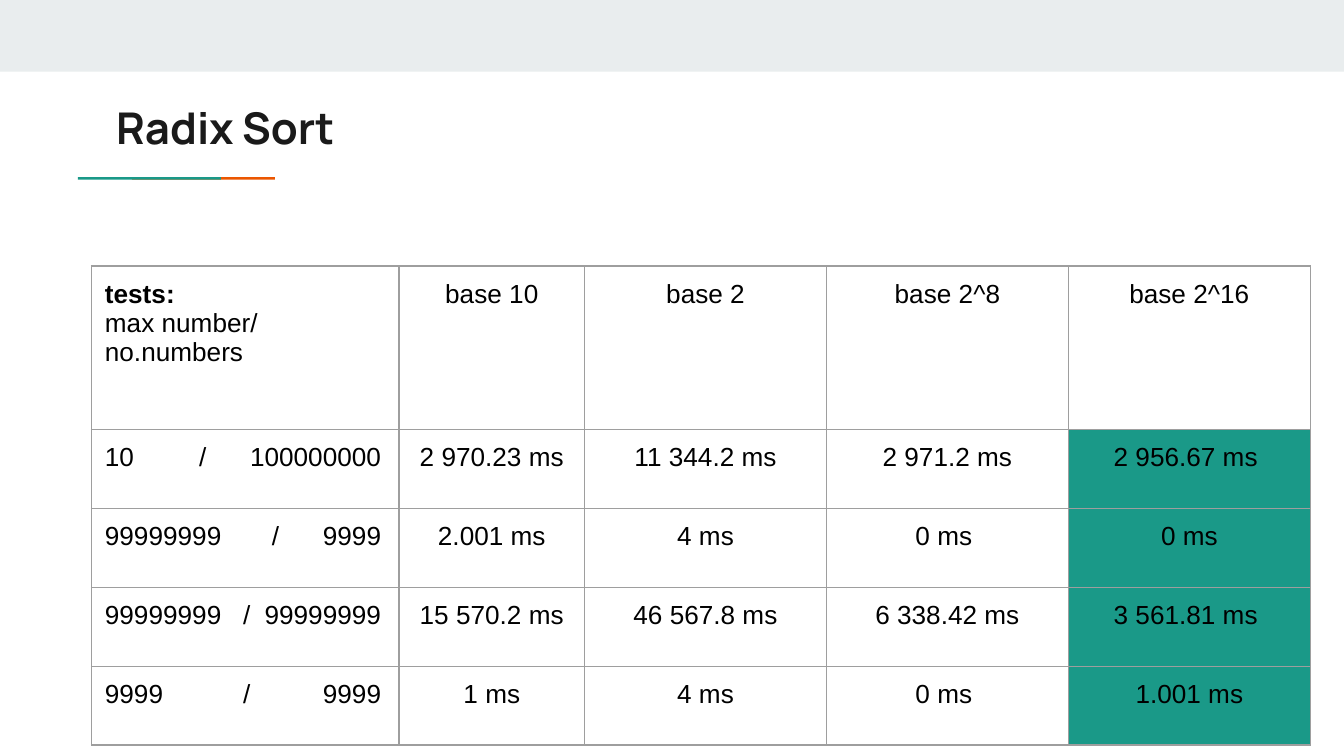
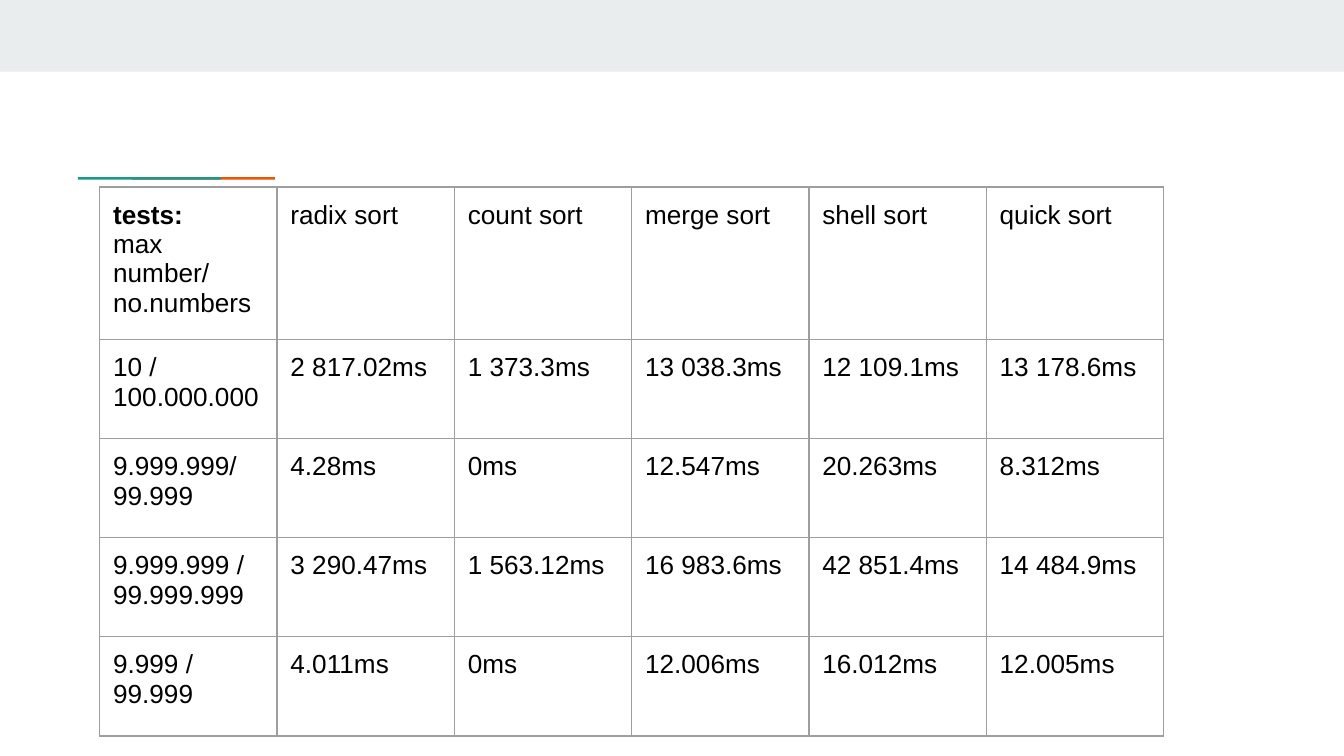
from dataclasses import dataclass

from lxml import etree
from pptx import Presentation
from pptx.dml.color import RGBColor
from pptx.enum.shapes import MSO_SHAPE
from pptx.enum.text import MSO_ANCHOR, PP_ALIGN
from pptx.oxml.ns import qn
from pptx.util import Pt

RECT = MSO_SHAPE.RECTANGLE
TOP = MSO_ANCHOR.TOP
LEFT, CENTER = PP_ALIGN.LEFT, PP_ALIGN.CENTER


@dataclass(frozen=True)
class Theme:
    band: str = "E9EDEE"
    teal: str = "1A9988"
    orange: str = "EB5600"
    ink: str = "1A1A1A"
    black: str = "000000"
    grid: str = "9E9E9E"
    head: str = "Manrope"
    body: str = "Arial"
    big: float = 23.4
    small: float = 14
    line: float = 0.75
    pad: float = 7.2


THEME = Theme()
TITLE = {"name": THEME.head, "size": Pt(THEME.big), "bold": True}
BODY = {"name": THEME.body, "size": Pt(THEME.small), "bold": False}
PADS = {f"margin_{side}": Pt(THEME.pad) for side in ("left", "right", "top", "bottom")}
FRAME = {**PADS, "word_wrap": True, "vertical_anchor": TOP}
CELL = {**PADS, "vertical_anchor": TOP}
PLAIN = {"first_row": False, "horz_banding": False}
TESTS = "tests:\nmax number/ no.numbers"

BASES = [
    [TESTS, "base 10", "base 2", "base 2^8", "base 2^16"],
    ["10\t/\t100000000", "2 970.23 ms", "11 344.2 ms", "2 971.2 ms", "2 956.67 ms "],
    ["99999999\t/\t9999", "2.001 ms", "4 ms", "0 ms ", "0 ms"],
    ["99999999\t/\t99999999", "15 570.2 ms", "46 567.8 ms", "6 338.42 ms", "3 561.81 ms "],
    ["9999\t/\t9999", "1 ms", "4 ms", "0 ms ", "1.001 ms"],
]
SLASHES = [50.4, 89.5, 74, 74]
NUMBER = 148

SORTS = [
    [TESTS, "radix sort", "count sort", "merge sort", "shell sort", "quick sort"],
    ["10 / 100.000.000", "2 817.02ms", "1 373.3ms", "13 038.3ms", "12 109.1ms", "13 178.6ms"],
    ["9.999.999/ 99.999", "4.28ms", "0ms", "12.547ms", "20.263ms", "8.312ms"],
    ["9.999.999 / 99.999.999", "3 290.47ms", "1 563.12ms", "16 983.6ms", "42 851.4ms", "14 484.9ms"],
    ["9.999 / 99.999", "4.011ms", "0ms", "12.006ms", "16.012ms", "12.005ms"],
]


def apply(item, values):
    for key, value in values.items():
        setattr(item, key, value)


def paint(fill, color):
    fill.solid()
    fill.fore_color.rgb = RGBColor.from_string(color)


def write(frame, text, style, color, align=LEFT):
    frame.text = text
    for para in frame.paragraphs:
        para.alignment = align
        for run in para.runs:
            apply(run.font, style)
            run.font.color.rgb = RGBColor.from_string(color)
        size = str(int(style["size"].pt * 100))
        etree.SubElement(para._p, qn("a:endParaRPr"), sz=size)


def bar(slide, box, color):
    shape = slide.shapes.add_shape(RECT, *map(Pt, box))
    shape.shadow.inherit = False
    paint(shape.fill, color)
    shape.line.fill.background()


def base(deck):
    slide = deck.slides.add_slide(deck.slide_layouts[6])
    bar(slide, (0, 0, 720, 38.4), THEME.band)
    for left, color in ((70.7, THEME.orange), (41.8, THEME.teal)):
        bar(slide, (left, 94.9, 76.6, 1.4), color)
    return slide


def title(slide, box, text):
    frame = slide.shapes.add_textbox(*map(Pt, box)).text_frame
    apply(frame, FRAME)
    write(frame, text, TITLE, THEME.ink)


def border(cell):
    props = cell._tc.get_or_add_tcPr()
    for spot, tag in enumerate(("a:lnL", "a:lnR", "a:lnT", "a:lnB")):
        line = etree.Element(qn(tag), w=str(Pt(THEME.line)))
        fill = etree.SubElement(line, qn("a:solidFill"))
        etree.SubElement(fill, qn("a:srgbClr"), val=THEME.grid)
        props.insert(spot, line)


def set_tabs(para, stops):
    tabs = etree.SubElement(para._p.get_or_add_pPr(), qn("a:tabLst"))
    for place, align in stops:
        etree.SubElement(tabs, qn("a:tab"), pos=str(Pt(place)), algn=align)


def grid(slide, spot, wide, tall, rows, align=LEFT, mark=None):
    box = (*spot, sum(wide), sum(tall))
    table = slide.shapes.add_table(len(rows), len(wide), *map(Pt, box)).table
    apply(table, PLAIN)
    for col, width in zip(table.columns, wide):
        col.width = Pt(width)
    for row, height in zip(table.rows, tall):
        row.height = Pt(height)
    for r, row in enumerate(rows):
        for c, text in enumerate(row):
            cell = table.cell(r, c)
            apply(cell, CELL)
            write(cell.text_frame, text, BODY, THEME.black, align if c else LEFT)
            if r and c == mark:
                paint(cell.fill, THEME.teal)
            else:
                cell.fill.background()
            border(cell)
    table.cell(0, 0).text_frame.paragraphs[0].runs[0].font.bold = True
    return table


def radix(deck):
    slide = base(deck)
    title(slide, (55.1, 46.8, 605.5, 42.5), "Radix Sort")
    wide = [164.8, 99.4] + [129.6] * 3
    tall = [87.7] + [42.25] * 4
    table = grid(slide, (49, 142.5), wide, tall, BASES, CENTER, 4)
    for r, slash in enumerate(SLASHES, 1):
        para = table.cell(r, 0).text_frame.paragraphs[0]
        set_tabs(para, ((slash, "l"), (NUMBER, "r")))


def compare(deck):
    slide = base(deck)
    grid(slide, (53.4, 100.2), [95] * 6, [53.1] * 5, SORTS)


def main():
    deck = Presentation()
    apply(deck, {"slide_width": Pt(720), "slide_height": Pt(405)})
    radix(deck)
    compare(deck)
    deck.save("out.pptx")


if __name__ == "__main__":
    main()
